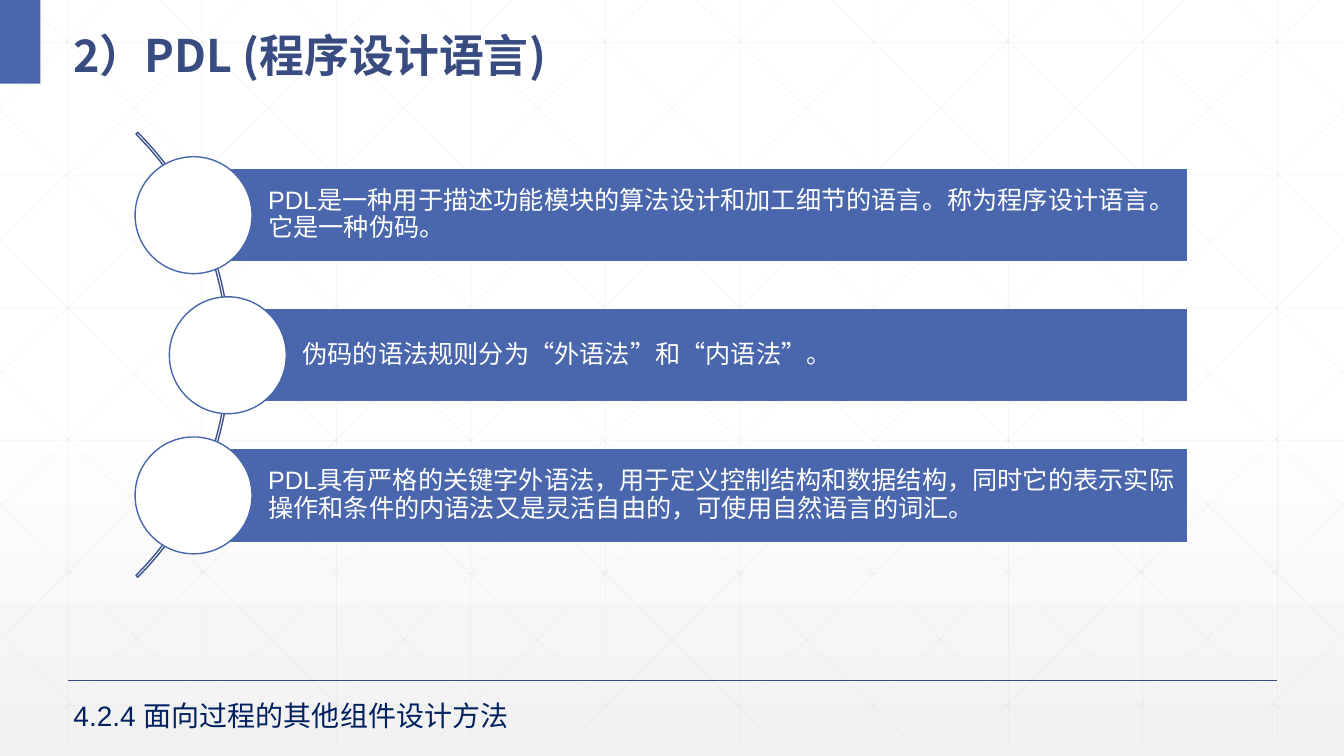
from copy import deepcopy

from lxml import etree
from pptx import Presentation
from pptx.dml.color import RGBColor
from pptx.enum import lang, shapes, text
from pptx.oxml.ns import qn
from pptx.util import Inches, Pt

WHITE = RGBColor(0xFF, 0xFF, 0xFF)
PALE = RGBColor(0xF2, 0xF2, 0xF2)
GRID = RGBColor(0xD9, 0xD9, 0xD9)
BLUE = RGBColor(0x4A, 0x66, 0xAC)
DARK_BLUE = RGBColor(0x38, 0x4C, 0x81)
ARC_BLUE = RGBColor(0x3B, 0x52, 0x8A)
NAVY = RGBColor(0x00, 0x20, 0x60)
CJK_FONT = "Noto Sans CJK SC"
WIDTH, HEIGHT = 13.33, 7.5

deck = Presentation()
deck.slide_width, deck.slide_height = Inches(WIDTH), Inches(HEIGHT)
page = deck.slides.add_slide(deck.slide_layouts[6])


def draw_line(start, end, color, points, opacity=None):
    line = page.shapes.add_connector(
        shapes.MSO_CONNECTOR.STRAIGHT, *map(Inches, start + end))
    line.line.color.rgb = color
    line.line.width = Pt(points)
    properties = line.element.spPr
    etree.SubElement(properties, qn("a:effectLst"))
    if opacity:
        rgb = properties.find(".//" + qn("a:srgbClr"))
        etree.SubElement(rgb, qn("a:alpha"), val=str(opacity * 1000))


def write_text(shape, words, frame_format, font_format, color, spacing=None):
    """Fill a shape with one left-aligned paragraph in Latin and CJK fonts."""
    frame = shape.text_frame
    frame.word_wrap = True
    for name, value in frame_format.items():
        setattr(frame, name, value)
    para = frame.paragraphs[0]
    para.alignment = text.PP_ALIGN.LEFT
    para.line_spacing = spacing
    span = para.add_run()
    span.text = words
    for name, value in font_format.items():
        setattr(span.font, name, value)
    span.font.language_id = lang.MSO_LANGUAGE_ID.SIMPLIFIED_CHINESE
    span.font.color.rgb = color
    etree.SubElement(span.font._element, qn("a:ea"), typeface=CJK_FONT)


# Background gradient
fill = page.background.fill
fill.gradient()
fill.gradient_angle = 270
first_stop = page.element.find(".//" + qn("a:gs"))
first_stop.addnext(deepcopy(first_stop))
for stop, position, color in zip(
        fill.gradient_stops, (0, 0.53, 1), (WHITE, WHITE, PALE)):
    stop.position = position
    stop.color.rgb = color

# Background grid: verticals, horizontals, then mirrored diagonals
GRID_BOTTOM, STEP = 7.37, 4 / 3
grid_lines = []
for column in range(10):
    x = 0.67 + STEP * column
    grid_lines.append(((x, 0), (x, GRID_BOTTOM)))
for row in range(6):
    y = 0.42 + 1.316 * row
    grid_lines.append(((0, y), (WIDTH, y)))

diagonals = []
for column in range(10):
    x = 0.25 + STEP * column
    end_x = min(x + 7.45, WIDTH)
    diagonals.append(((x, 0), (end_x, (end_x - x) * 0.99)))
for row in range(5):
    diagonals.append(((0, 1.09 + 1.3 * row), (6.37 - 1.32 * row, GRID_BOTTOM)))
for (x1, y1), (x2, y2) in diagonals:
    grid_lines.append(((x1, y1), (x2, y2)))
    grid_lines.append(((WIDTH - x1, y1), (WIDTH - x2, y2)))

for start, end in grid_lines:
    draw_line(start, end, GRID, 0.5, opacity=25)

# Title and footer
draw_line((0.67, 6.75), (12.67, 6.75), DARK_BLUE, 1)
corner = page.shapes.add_shape(
    shapes.MSO_SHAPE.RECTANGLE, 0, 0, Inches(0.4), Inches(0.83))
corner.shadow.inherit = False
corner.fill.solid()
corner.fill.fore_color.rgb = BLUE
corner.line.fill.background()

title = page.shapes.add_textbox(*map(Inches, (0.63, 0.1, 12.42, 0.73)))
write_text(title, "2）PDL (程序设计语言)",
           {"vertical_anchor": text.MSO_ANCHOR.MIDDLE},
           {"name": CJK_FONT, "size": Pt(32), "bold": True}, DARK_BLUE, 1.3)

footer = page.shapes.add_textbox(*map(Inches, (0.63, 6.88, 4.69, 0.44)))
write_text(footer, "4.2.4 面向过程的其他组件设计方法",
           {"auto_size": text.MSO_AUTO_SIZE.SHAPE_TO_FIT_TEXT},
           {"name": "Arial", "size": Pt(20)}, NAVY)

# Curved list
arc = page.shapes.add_shape(
    shapes.MSO_SHAPE.BLOCK_ARC, *map(Inches, (-3.96, 0.4, 6.24, 6.24)))
arc.shadow.inherit = False
for index, value in enumerate((189, 27, 0.004)):
    arc.adjustments[index] = value
arc.fill.background()
arc.line.color.rgb = ARC_BLUE
arc.line.width = Pt(1)

BAR_RIGHT, BAR_HEIGHT, CIRCLE = 11.78, 0.93, 1.16
BAR_FORMAT = {
    "vertical_anchor": text.MSO_ANCHOR.MIDDLE,
    "margin_left": Inches(0.74), "margin_right": Inches(0.05),
    "margin_top": Inches(0.05), "margin_bottom": Inches(0.05),
}
points = [
    (1.92, "PDL是一种用于描述功能模块的算法设计和加工细节的语言。称为程序设计语言。它是一种伪码。"),
    (2.26, "伪码的语法规则分为“外语法”和“内语法”。"),
    (1.92, "PDL具有严格的关键字外语法，用于定义控制结构和数据结构，同时它的表示实际操作和条件的内语法又是灵活自由的，可使用自然语言的词汇。"),
]
for row, (left, words) in enumerate(points):
    top = 1.67 + 1.39 * row
    bar = page.shapes.add_shape(
        shapes.MSO_SHAPE.RECTANGLE,
        *map(Inches, (left, top, BAR_RIGHT - left, BAR_HEIGHT)))
    circle = page.shapes.add_shape(
        shapes.MSO_SHAPE.OVAL,
        *map(Inches, (left - CIRCLE / 2, top + (BAR_HEIGHT - CIRCLE) / 2,
                      CIRCLE, CIRCLE)))
    for shape, inside, outline in ((bar, BLUE, WHITE), (circle, WHITE, BLUE)):
        shape.shadow.inherit = False
        shape.fill.solid()
        shape.fill.fore_color.rgb = inside
        shape.line.color.rgb = outline
        shape.line.width = Pt(1)
    write_text(bar, words, BAR_FORMAT,
               {"name": "Arial", "size": Pt(18)}, WHITE, 0.9)

deck.save("out.pptx")
